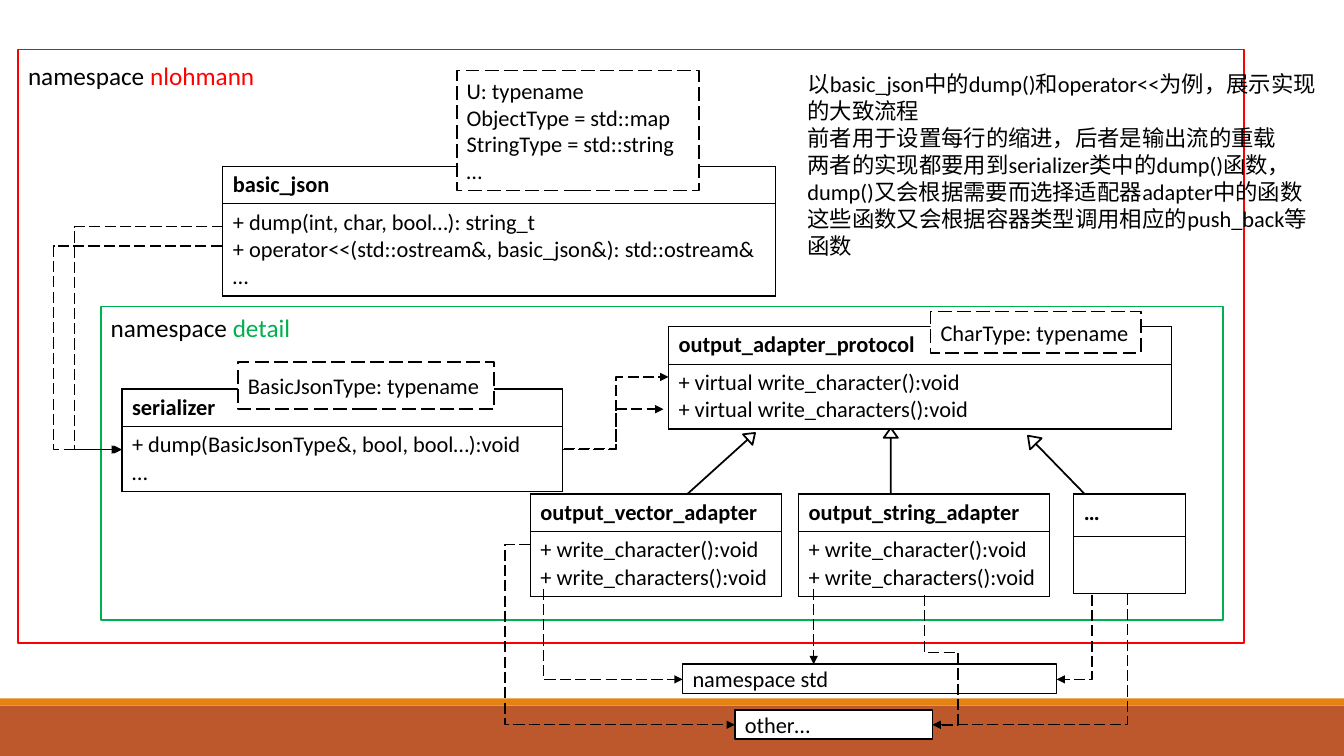
from dataclasses import dataclass
from typing import NamedTuple

from lxml import etree
from pptx import Presentation
from pptx import util as u
from pptx.dml.color import RGBColor
from pptx.enum import dml, shapes, text
from pptx.oxml import ns


@dataclass(frozen=True)
class Theme:
    font: str = "Calibri"
    body: int = 16
    title: int = 18
    outline: float = 1.25
    hairline: float = 1
    header_height: float = 0.37
    line_height: float = 0.27
    cell_padding: float = 0.1
    black: str = "000000"
    white: str = "FFFFFF"
    red: str = "FF0000"
    green: str = "00B050"
    rust: str = "BD582C"
    orange: str = "E48312"


THEME = Theme()


class Box(NamedTuple):
    left: float
    top: float
    width: float
    height: float


class Namespace(NamedTuple):
    box: Box
    name: str
    color: str
    inset: float


class ClassTable(NamedTuple):
    left: float
    top: float
    width: float
    name: str
    members: tuple[str, ...]
    header: float = THEME.header_height
    body: float = 0  # 0 means the height that the members need


class Label(NamedTuple):
    box: Box
    lines: tuple[str, ...]
    dashed: bool = False


class Inheritance(NamedTuple):
    box: Box
    rotation: float


class Call(NamedTuple):
    """Dashed arrow; bends lists the turning coordinates, x and y in turn."""
    start: tuple[float, float]
    end: tuple[float, float]
    bends: tuple[float, ...] = ()
    vertical_first: bool = False
    straight: bool = False


NAMESPACES = (
    Namespace(Box(0.18, 0.49, 12.16, 5.89), "nlohmann", THEME.red, 0.11),
    Namespace(Box(1, 3.04, 11.13, 3.11), "detail", THEME.green, 0.06),
)
WRITERS = ("+ write_character():void", "+ write_characters():void")
CLASSES = (
    ClassTable(1.21, 3.86, 4.37, "serializer", ("+ dump(BasicJsonType&, bool, bool…):void", "…")),
    ClassTable(2.21, 1.65, 5.48, "basic_json", (
        "+ dump(int, char, bool…): string_t",
        "+ operator<<(std::ostream&, basic_json&): std::ostream&", "…")),
    ClassTable(5.26, 4.9, 2.49, "output_vector_adapter", WRITERS),
    ClassTable(7.92, 4.9, 2.49, "output_string_adapter", WRITERS),
    ClassTable(10.65, 4.9, 1.11, "…", (), 0.42, 0.57),
    ClassTable(6.63, 3.24, 4.99, "output_adapter_protocol",
               ("+ virtual write_character():void", "+ virtual write_characters():void")),
)
LABELS = (
    Label(Box(2.36, 3.59, 2.54, 0.47), ("BasicJsonType: typename",), True),
    Label(Box(4.53, 0.7, 2.4, 1.19),
          ("U: typename", "ObjectType = std::map", "StringType = std::string", "…"), True),
    Label(Box(9.23, 3.09, 2.09, 0.41), ("CharType: typename",), True),
    Label(Box(6.77, 6.59, 3.71, 0.29), ("namespace std",)),
    Label(Box(7.29, 7.04, 1.96, 0.29), ("other…",)),
)
INHERITANCES = (
    Inheritance(Box(6.67, 4.54, 0.94, 0.14), 317.9),
    Inheritance(Box(8.51, 4.5, 0.65, 0.14), 270),
    Inheritance(Box(10.07, 4.54, 0.83, 0.16), 225.8),
)
CALLS = (
    Call((2.2, 2.44), (1.19, 4.46), (0.53,)),
    Call((2.21, 2.25), (1.21, 4.46), (0.74,)),
    Call((5.58, 4.46), (6.63, 3.74), (6.11,)),
    Call((5.59, 4.45), (6.58, 4.06), (6.11,)),
    Call((5.39, 5.84), (6.77, 6.74), (5.39,)),
    Call((8.07, 5.84), (8.07, 6.59), straight=True),
    Call((5.26, 5.4), (7.29, 7.19), (5.01,)),
    Call((9.17, 5.9), (9.25, 7.19), (6.47, 9.5), vertical_first=True),
    Call((11.19, 5.9), (9.25, 7.19), (11.18,)),
    Call((10.83, 5.9), (10.48, 6.74), vertical_first=True),
)
NOTE = (
    "以basic_json中的dump()和operator<<为例，展示实现的大致流程",
    "前者用于设置每行的缩进，后者是输出流的重载",
    "两者的实现都要用到serializer类中的dump()函数，dump()又会根据需要而选择适配器adapter中的函数",
    "这些函数又会根据容器类型调用相应的push_back等函数",
)


def add_run(paragraph, words: str, size: int = THEME.body, color: str = THEME.black,
            bold: bool = False) -> None:
    paragraph.alignment = text.PP_ALIGN.LEFT
    run = paragraph.add_run()
    run.text = words
    run.font.name, run.font.size, run.font.bold = THEME.font, u.Pt(size), bold
    run.font.color.rgb = RGBColor.from_string(color)


def add_lines(frame, lines: tuple[str, ...], bold: bool = False) -> None:
    for index, line in enumerate(lines):
        add_run(frame.add_paragraph() if index else frame.paragraphs[0], line, bold=bold)


def add_box(slide, box: Box, fill: str = THEME.white, line: str = "",
            kind=shapes.MSO_SHAPE.RECTANGLE):
    shape = slide.shapes.add_shape(kind, *map(u.Inches, box))
    shape.shadow.inherit = False
    shape.fill.solid()
    shape.fill.fore_color.rgb = RGBColor.from_string(fill)
    if line:
        shape.line.color.rgb = RGBColor.from_string(line)
        shape.line.width = u.Pt(THEME.outline)
    else:
        shape.line.fill.background()
    return shape


def add_namespace(slide, namespace: Namespace) -> None:
    frame = add_box(slide, namespace.box, line=namespace.color).text_frame
    frame.vertical_anchor = text.MSO_ANCHOR.TOP
    frame.margin_top = u.Inches(namespace.inset)
    add_run(frame.paragraphs[0], "namespace ", THEME.title)
    add_run(frame.paragraphs[0], namespace.name, THEME.title, namespace.color)


def add_label(slide, label: Label) -> None:
    shape = add_box(slide, label.box, line=THEME.black)
    if label.dashed:
        shape.line.dash_style = dml.MSO_LINE.LONG_DASH
    shape.text_frame.vertical_anchor = text.MSO_ANCHOR.MIDDLE
    add_lines(shape.text_frame, label.lines)


def add_class(slide, item: ClassTable) -> None:
    body = item.body or THEME.cell_padding + THEME.line_height * len(item.members)
    box = Box(item.left, item.top, item.width, item.header + body)
    table = slide.shapes.add_table(2, 1, *map(u.Inches, box)).table
    table.first_row = table.horz_banding = False
    for index, (height, lines) in enumerate(((item.header, (item.name,)), (body, item.members))):
        table.rows[index].height = u.Inches(height)
        cell = table.cell(index, 0)
        add_lines(cell.text_frame, lines, bold=index == 0)
        properties = cell._tc.get_or_add_tcPr()
        for side in ("lnL", "lnR", "lnT", "lnB"):
            border = etree.SubElement(properties, ns.qn(f"a:{side}"), w=str(u.Pt(THEME.hairline)))
            solid = etree.SubElement(border, ns.qn("a:solidFill"))
            etree.SubElement(solid, ns.qn("a:srgbClr"), val=THEME.black)
        cell.fill.solid()
        cell.fill.fore_color.rgb = RGBColor.from_string(THEME.white)


def add_call(slide, call: Call) -> None:
    (x0, y0), (x1, y1) = call.start, call.end
    points = (x0, y0, x1, y1)
    if call.vertical_first:  # lay the route out before its quarter turn
        x, y = (x0 + x1) / 2, (y0 + y1) / 2
        points = (x + y0 - y, y - x0 + x, x + y1 - y, y - x1 + x)
    kind = shapes.MSO_CONNECTOR.STRAIGHT if call.straight else shapes.MSO_CONNECTOR.ELBOW
    connector = slide.shapes.add_connector(kind, *map(u.Inches, points))
    connector.line.color.rgb = RGBColor.from_string(THEME.black)
    connector.line.width = u.Pt(THEME.hairline)
    connector.line.dash_style = dml.MSO_LINE.LONG_DASH
    properties = connector.element.spPr
    etree.SubElement(properties.find(ns.qn("a:ln")), ns.qn("a:tailEnd"), type="triangle")
    etree.SubElement(properties, ns.qn("a:effectLst"))
    if call.straight:
        return
    if call.vertical_first:
        properties.find(ns.qn("a:xfrm")).set("rot", str(90 * 60000))
    geometry = properties.find(ns.qn("a:prstGeom"))
    geometry.set("prst", f"bentConnector{len(call.bends) + 2}")
    guides = geometry.find(ns.qn("a:avLst"))
    for index, bend in enumerate(call.bends):
        first, last = (y0, y1) if call.vertical_first == (index % 2 == 0) else (x0, x1)
        ratio = round((bend - first) / (last - first) * 100000)
        etree.SubElement(guides, ns.qn("a:gd"), name=f"adj{index + 1}" if len(call.bends) > 1
                         else "adj1", fmla=f"val {ratio}")


def main() -> None:
    presentation = Presentation()
    presentation.slide_width, presentation.slide_height = u.Inches(13.33), u.Inches(7.5)
    slide = presentation.slides.add_slide(presentation.slide_layouts[6])

    # Footer bands
    add_box(slide, Box(0, 7, 13.33, 0.5), THEME.rust)
    add_box(slide, Box(0, 6.93, 13.33, 0.07), THEME.orange)

    # Namespaces, with inheritance arrows beneath the classes
    for namespace in NAMESPACES:
        add_namespace(slide, namespace)
    for arrow in INHERITANCES:
        shape = add_box(slide, arrow.box, line=THEME.black, kind=shapes.MSO_SHAPE.RIGHT_ARROW)
        shape.rotation = arrow.rotation
        shape.adjustments[0], shape.adjustments[1] = 0, 0.7

    # Classes, template parameters and call targets
    for item in CLASSES:
        add_class(slide, item)
    for label in LABELS:
        add_label(slide, label)

    # Call arrows
    for call in CALLS:
        add_call(slide, call)

    # Explanation
    note = slide.shapes.add_textbox(*map(u.Inches, Box(7.91, 0.65, 5.32, 1.99))).text_frame
    note.word_wrap = True
    note.auto_size = text.MSO_AUTO_SIZE.SHAPE_TO_FIT_TEXT
    add_lines(note, NOTE)

    presentation.save("out.pptx")


if __name__ == "__main__":
    main()
